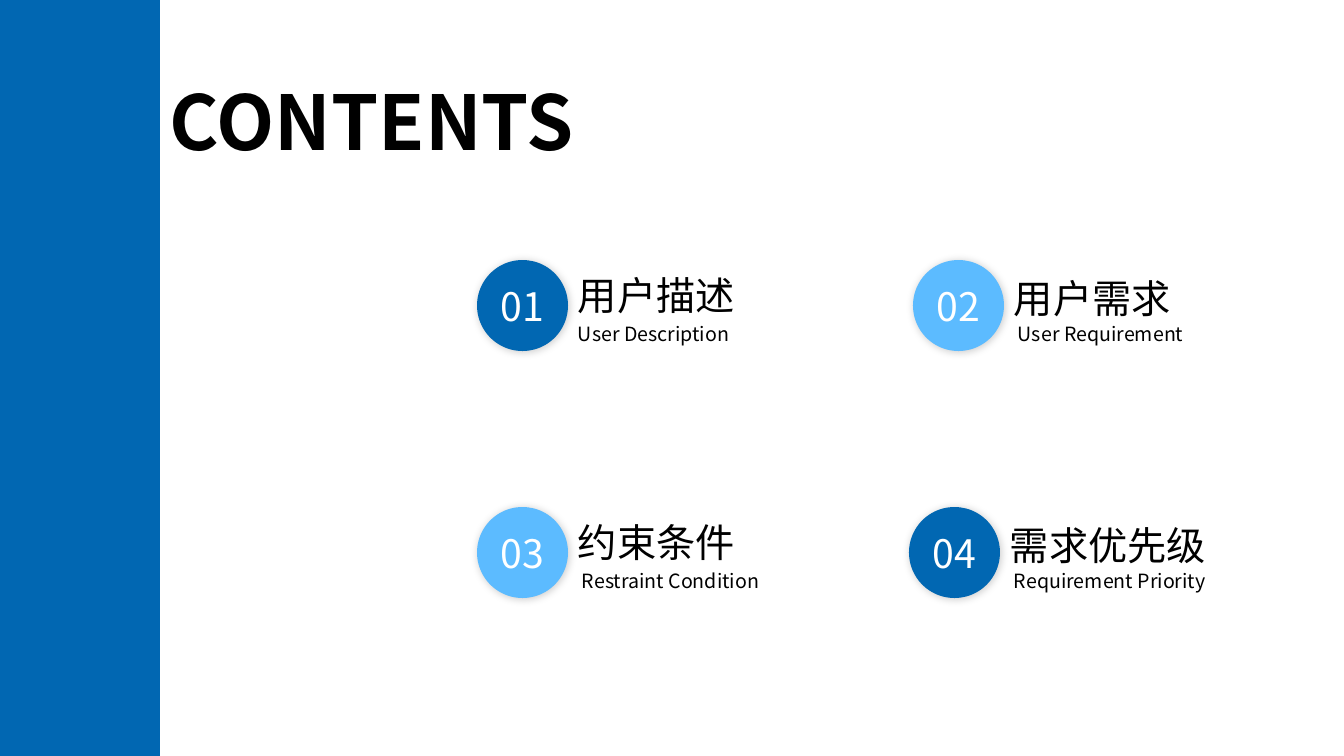
from lxml.etree import SubElement
from pptx import Presentation
from pptx.dml.color import RGBColor
from pptx.enum.shapes import MSO_SHAPE
from pptx.enum.text import MSO_ANCHOR, MSO_AUTO_SIZE, PP_ALIGN
from pptx.oxml.ns import qn
from pptx.util import Emu, Pt

FONT = "Noto Sans CJK SC"
BLUE, SKY, BLACK, WHITE = "0167B2", "5CBBFF", "000000", "FFFFFF"
EMU_PER_PX = 914400 / 100.8
CIRCLE = 91


def px(length):
    return Emu(round(length * EMU_PER_PX))


def color(value):
    return RGBColor.from_string(value)


def write(frame, text, size=28, ink=BLACK, bold=False, align=PP_ALIGN.LEFT):
    frame.word_wrap = True
    para = frame.paragraphs[0]
    para.alignment = align
    span = para.add_run()
    span.text = text
    span.font.name = FONT
    span.font.size = Pt(size)
    span.font.bold = bold
    span.font.color.rgb = color(ink)
    # East Asian glyphs take their own typeface
    SubElement(span.font._element, qn("a:ea"), typeface=FONT)


def add_label(shapes, text, left, top, width, height, **style):
    box = shapes.add_textbox(px(left), px(top), px(width), px(height))
    write(box.text_frame, text, **style)
    box.text_frame.auto_size = MSO_AUTO_SIZE.SHAPE_TO_FIT_TEXT


def add_filled(shapes, kind, fill, left, top, width, height):
    shape = shapes.add_shape(kind, px(left), px(top), px(width), px(height))
    shape.shadow.inherit = False
    shape.fill.solid()
    shape.fill.fore_color.rgb = color(fill)
    shape.line.fill.background()
    return shape


def add_soft_shadow(shape):
    effects = shape._element.spPr.find(qn("a:effectLst"))
    shadow = SubElement(effects, qn("a:outerShdw"), blurRad=str(Pt(6)),
                        dist=str(Pt(1)), dir=str(45 * 60000), algn="tl", rotWithShape="0")
    tint = SubElement(shadow, qn("a:srgbClr"), val=BLACK)
    SubElement(tint, qn("a:alpha"), val="20000")


def add_circle(shapes, number, fill, left, top):
    circle = add_filled(shapes, MSO_SHAPE.FLOWCHART_CONNECTOR, fill, left, top, CIRCLE, CIRCLE)
    add_soft_shadow(circle)
    frame = circle.text_frame
    frame.margin_left = frame.margin_right = 0
    frame.vertical_anchor = MSO_ANCHOR.MIDDLE
    write(frame, number, ink=WHITE, align=PP_ALIGN.CENTER)


def add_entry(page, number, fill, left, top, title, title_drop, subtitle, subtitle_shift, width):
    shapes = page.shapes.add_group_shape().shapes
    text_left = left + CIRCLE
    add_circle(shapes, number, fill, left, top)
    add_label(shapes, title, text_left, top + title_drop, 306, 57)
    add_label(shapes, subtitle, text_left + subtitle_shift, top + 57, width, 34,
              size=14, align=PP_ALIGN.JUSTIFY)


def main():
    deck = Presentation()
    deck.slide_width, deck.slide_height = px(1344), px(756)
    page = deck.slides.add_slide(deck.slide_layouts[6])

    # Four numbered entries
    entries = [
        ("01", BLUE, 477, 260, "用户描述", 6, "User Description", 0, 211),
        ("02", SKY, 913, 260, "用户需求", 9, "User Requirement", 4, 225),
        ("03", SKY, 477, 507, "约束条件", 6, "Restraint Condition", 4, 243),
        ("04", BLUE, 909, 507, "需求优先级", 9, "Requirement Priority", 4, 258),
    ]
    for entry in entries:
        add_entry(page, *entry)

    # Side band and heading
    add_filled(page.shapes, MSO_SHAPE.RECTANGLE, BLUE, 0, 0, 160, 756)
    add_label(page.shapes, "CONTENTS", 160, 70, 447, 102, size=54, bold=True)

    deck.save("out.pptx")


if __name__ == "__main__":
    main()
